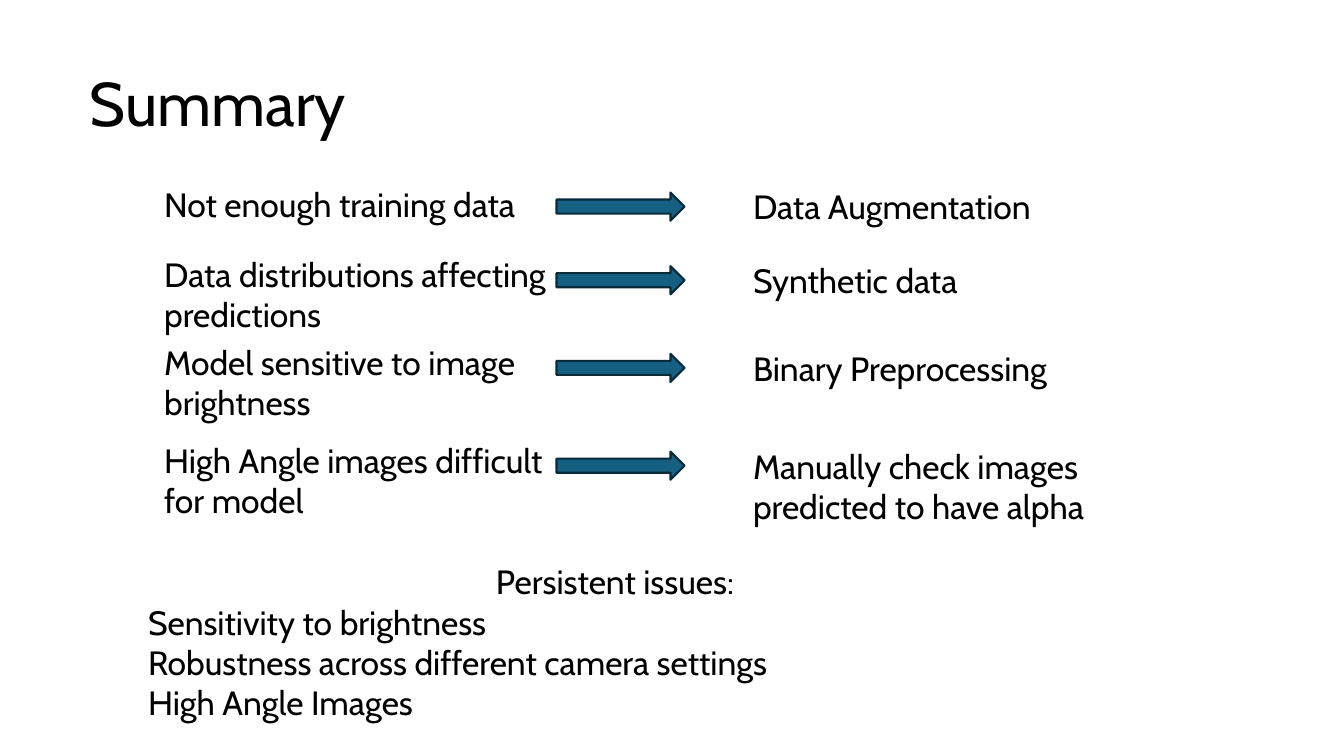
from pptx import Presentation
from pptx.dml.color import RGBColor
from pptx.enum.shapes import MSO_SHAPE as Shape
from pptx.enum.text import MSO_ANCHOR as Anchor
from pptx.util import Pt

# Content: problem, solution, top of the row in px
TITLE = "Summary"
ROWS = [
    ("Not enough training data", "Data Augmentation", 178),
    ("Data distributions affecting predictions", "Synthetic data", 247),
    ("Model sensitive to image brightness", "Binary Preprocessing", 334),
    ("High Angle images difficult for model",
     "Manually check images predicted to have alpha", 431),
]
ISSUES = [
    "Persistent issues:",
    "Sensitivity to brightness",
    "Robustness across different camera settings",
    "High Angle Images",
]

# Layout in px, 100 to the inch
SLIDE_SIZE = (1333, 750)
PROBLEM_LEFT, PROBLEM_WIDTH = 153, 399
ARROW_LEFT, ARROW_WIDTH, ARROW_HEIGHT = 552, 127, 28
SOLUTION_LEFT, SOLUTION_WIDTH = 737, 385
LINE_HEIGHT, TWO_LINES = 50, 91
SOLUTION_DROP = 6
ARROW_DROP = 17
HEADING_INDENT = 345

FONT = "Cabin"
BLACK, TEAL, NAVY = "000000", "156082", "092A39"


def px(length):
    return length * 9144


def color(value):
    return RGBColor.from_string(value)


def add_text(slide, lines, box, size=24):
    text_frame = slide.shapes.add_textbox(*map(px, box)).text_frame
    text_frame.word_wrap = True
    text_frame.text = "\n".join(lines)
    for paragraph in text_frame.paragraphs:
        font = paragraph.runs[0].font
        font.name, font.size = FONT, Pt(size)
        font.color.rgb = color(BLACK)
    return text_frame


def add_arrow(slide, top):
    arrow = slide.shapes.add_shape(
        Shape.RIGHT_ARROW, *map(px, (ARROW_LEFT, top, ARROW_WIDTH, ARROW_HEIGHT)))
    arrow.shadow.inherit = False
    arrow.fill.solid()
    arrow.fill.fore_color.rgb = color(TEAL)
    arrow.line.color.rgb = color(NAVY)
    arrow.line.width = Pt(1.5)


def main():
    presentation = Presentation()
    presentation.slide_width, presentation.slide_height = map(px, SLIDE_SIZE)
    slide = presentation.slides.add_slide(presentation.slide_layouts[6])

    # Title
    title = add_text(slide, [TITLE], (79, 33, 1150, 145), size=44)
    title.vertical_anchor = Anchor.MIDDLE
    title.paragraphs[0].line_spacing = 0.9

    # Problems, each with an arrow to its solution
    for index, (problem, solution, top) in enumerate(ROWS):
        solution_top = top + (SOLUTION_DROP if index else 2)
        solution_height = TWO_LINES if len(solution) > 25 else LINE_HEIGHT
        arrow_top = top + ARROW_DROP if index else top + 13
        add_text(slide, [problem], (PROBLEM_LEFT, top, PROBLEM_WIDTH, TWO_LINES))
        add_text(slide, [solution],
                 (SOLUTION_LEFT, solution_top, SOLUTION_WIDTH, solution_height))
        add_arrow(slide, arrow_top)

    # Persistent issues under an indented heading
    issues = add_text(slide, ISSUES, (137, 552, 976, 172))
    heading = issues.paragraphs[0]._p.get_or_add_pPr()
    heading.set("marL", str(px(HEADING_INDENT)))

    presentation.save("out.pptx")


if __name__ == "__main__":
    main()
